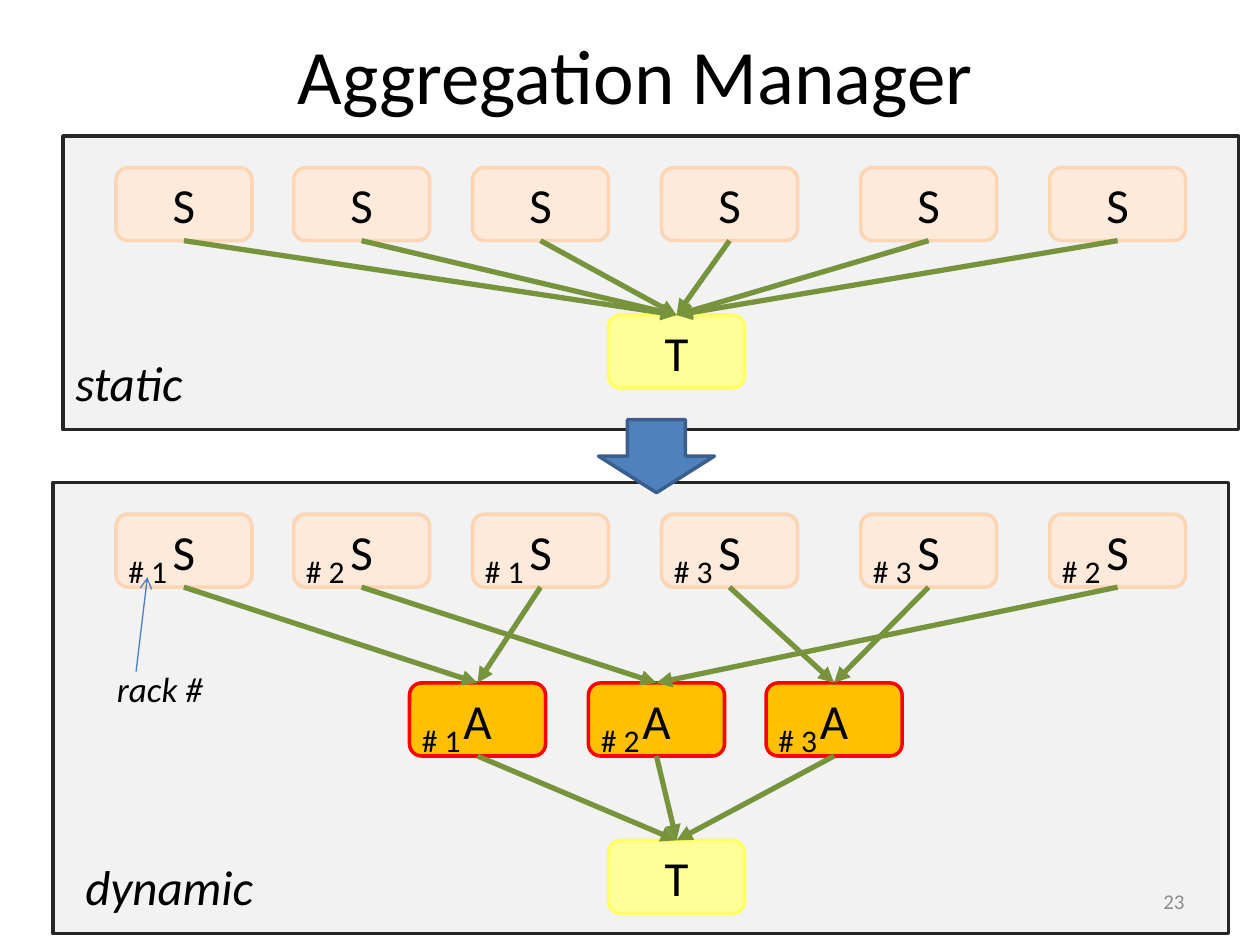
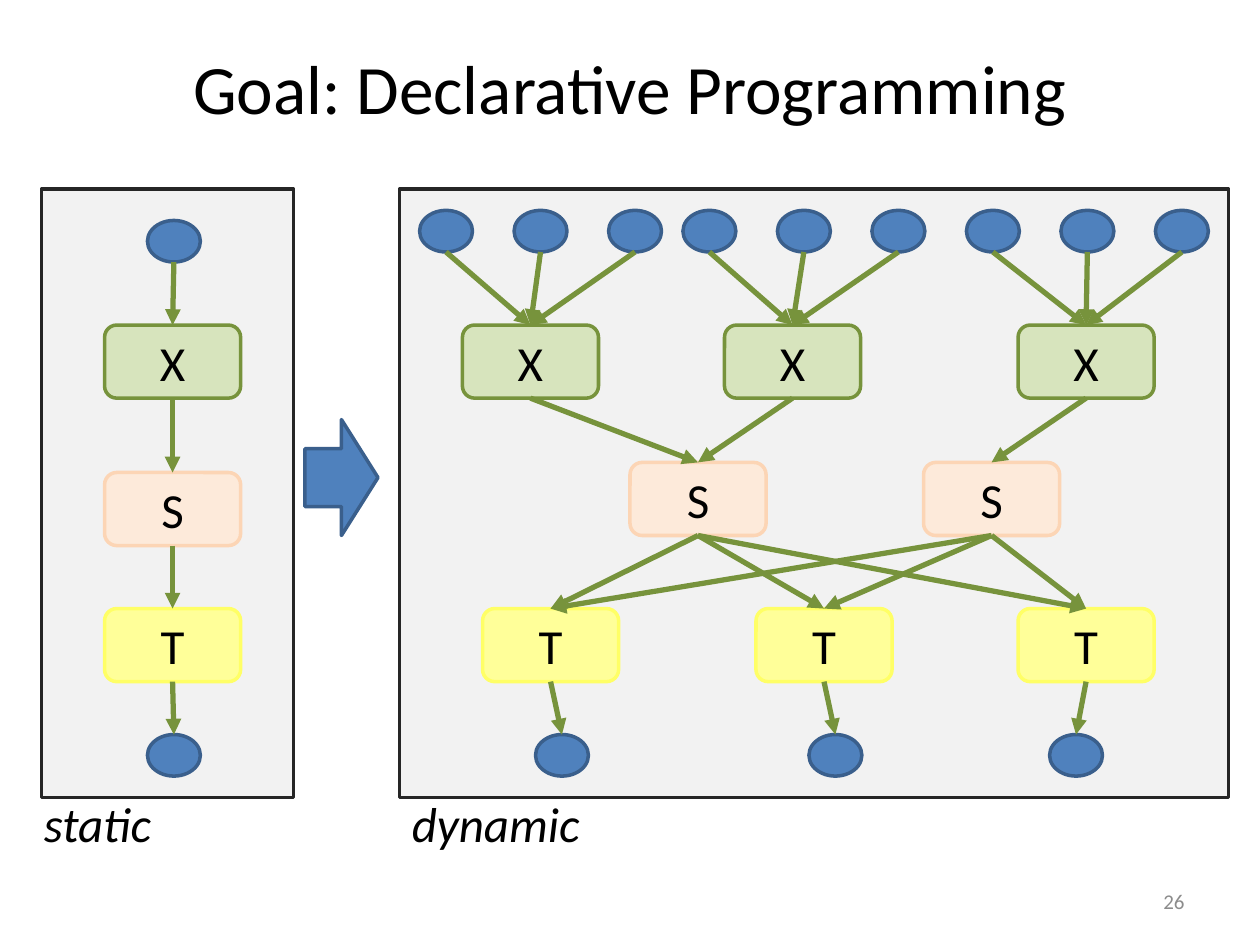
from lxml.etree import SubElement
from pptx import Presentation
from pptx.dml.color import RGBColor
from pptx.enum.shapes import MSO_CONNECTOR, MSO_SHAPE
from pptx.enum.text import MSO_ANCHOR, PP_ALIGN
from pptx.oxml.ns import qn
from pptx.util import Inches, Pt

BLACK = RGBColor(0x00, 0x00, 0x00)
GREY = RGBColor(0x8C, 0x8C, 0x8C)
PANEL_FILL = RGBColor(0xF2, 0xF2, 0xF2)
PANEL_LINE = RGBColor(0x26, 0x26, 0x26)
BLUE = RGBColor(0x4F, 0x81, 0xBD)
DARK_BLUE = RGBColor(0x3A, 0x5F, 0x8C)
POINTER_BLUE = RGBColor(0x4B, 0x7E, 0xBC)
GREEN = RGBColor(0x77, 0x93, 0x3C)

# Fill and outline of each kind of stage
STAGE_COLORS = {
    "S": (RGBColor(0xFD, 0xEA, 0xDA), RGBColor(0xFC, 0xD5, 0xB5)),
    "T": (RGBColor(0xFF, 0xFF, 0x99), RGBColor(0xFF, 0xFF, 0x66)),
    "A": (RGBColor(0xFF, 0xC0, 0x00), RGBColor(0xFF, 0x00, 0x00)),
    "X": (RGBColor(0xD7, 0xE4, 0xBD), GREEN),
}
FONT = "Calibri"
STAGE_W, STAGE_H = 1.08, 0.58
DATA_W, DATA_H = 0.42, 0.33
TOP, BOTTOM = 0, 2


class GraphSlide:
    """Draws data-flow graphs on one slide; lengths are in inches."""

    def __init__(self, prs, title, title_box, title_size, number):
        self.s = prs.slides.add_slide(prs.slide_layouts[6])
        self.title = (title, title_box, title_size)
        self.number = number

    def add_text_run(self, tf, text, size, color=BLACK, align=PP_ALIGN.LEFT, italic=False):
        p = tf.paragraphs[0]
        p.alignment = align
        r = p.add_run()
        r.text = text
        r.font.name = FONT
        r.font.size = Pt(size)
        r.font.italic = italic
        r.font.color.rgb = color

    def text(self, box, text, size, wrap=True, anchor=MSO_ANCHOR.TOP, **style):
        tf = self.s.shapes.add_textbox(*map(Inches, box)).text_frame
        tf.word_wrap = wrap
        tf.vertical_anchor = anchor
        self.add_text_run(tf, text, size, **style)

    def caption(self, left, top, width, text, size=28, height=0.57):
        self.text((left, top, width, height), text, size, wrap=False, italic=True)

    def shape(self, kind, box, fill, line):
        sp = self.s.shapes.add_shape(kind, *map(Inches, box))
        sp.shadow.inherit = False
        sp.fill.solid()
        sp.fill.fore_color.rgb = fill
        sp.line.color.rgb = line
        sp.line.width = Pt(2)
        return sp

    def panel(self, *box):
        self.shape(MSO_SHAPE.RECTANGLE, box, PANEL_FILL, PANEL_LINE)

    def stage(self, letter, left, top):
        sp = self.shape(MSO_SHAPE.ROUNDED_RECTANGLE, (left, top, STAGE_W, STAGE_H),
                        *STAGE_COLORS[letter])
        sp.text_frame.vertical_anchor = MSO_ANCHOR.MIDDLE
        self.add_text_run(sp.text_frame, letter, 28, align=PP_ALIGN.CENTER)
        return sp

    def stages(self, letter, lefts, top):
        return [self.stage(letter, left, top) for left in lefts]

    def data(self, left, top):
        return self.shape(MSO_SHAPE.OVAL, (left, top, DATA_W, DATA_H), BLUE, DARK_BLUE)

    def rack_tags(self, racks, lefts, top):
        for rack, left in zip(racks, lefts):
            self.text((left, top, 0.58, 0.4), f"# {rack}", 18)

    def big_arrow(self, left, top, rotation=0):
        sp = self.shape(MSO_SHAPE.DOWN_ARROW, (left, top, 0.92, 0.58), BLUE, DARK_BLUE)
        sp.rotation = rotation

    def arrow(self, x1, y1, x2, y2, color, width, head):
        """Draw a straight arrow between two points given in EMU."""
        cxn = self.s.shapes.add_connector(MSO_CONNECTOR.STRAIGHT, x1, y1, x2, y2)
        cxn.line.color.rgb = color
        cxn.line.width = Pt(width)
        sp_pr = cxn._element.spPr
        SubElement(sp_pr.find(qn("a:ln")), qn("a:tailEnd"), type=head)
        SubElement(sp_pr, qn("a:effectLst"))
        return cxn

    def link(self, source, target):
        """Join the bottom of source to the top of target."""
        cxn = self.arrow(source.left + source.width // 2, source.top + source.height,
                         target.left + target.width // 2, target.top,
                         GREEN, 3, "triangle")
        # An oval numbers its sites differently, so only its top is glued.
        if source.auto_shape_type != MSO_SHAPE.OVAL:
            cxn.begin_connect(source, BOTTOM)
        cxn.end_connect(target, TOP)

    def link_all(self, sources, targets):
        """Link sources to targets pairwise."""
        for source, target in zip(sources, targets):
            self.link(source, target)

    def finish(self):
        """Add the title and the slide number on top of the graphs."""
        title, box, size = self.title
        self.text(box, title, size, anchor=MSO_ANCHOR.MIDDLE, align=PP_ALIGN.CENTER)
        self.text((7.17, 6.95, 2.33, 0.4), self.number, 12, anchor=MSO_ANCHOR.MIDDLE,
                  color=GREY, align=PP_ALIGN.RIGHT)


def aggregation_slide(prs):
    g = GraphSlide(prs, "Aggregation Manager", (0.42, 0.17, 9.25, 0.83), 44, "23")
    source_lefts = [0.92, 2.33, 3.75, 5.25, 6.83, 8.33]
    source_racks = [1, 2, 1, 3, 3, 2]
    aggregator_lefts = [3.25, 4.67, 6.08]

    g.panel(0.42, 3.83, 9.33, 3.58)
    g.panel(0.5, 1.08, 9.33, 2.33)

    sources = g.stages("S", source_lefts, 1.33)
    target = g.stage("T", 4.83, 2.5)
    g.link_all(sources, [target] * len(sources))

    sources = g.stages("S", source_lefts, 4.08)
    aggregators = g.stages("A", aggregator_lefts, 5.42)
    target = g.stage("T", 4.83, 6.67)
    g.link_all(sources, [aggregators[rack - 1] for rack in source_racks])
    g.link_all(aggregators, [target] * len(aggregators))

    g.big_arrow(4.75, 3.33)
    g.rack_tags(source_racks, source_lefts, 4.33)
    g.rack_tags([1, 2, 3], aggregator_lefts, 5.67)
    g.caption(0.5, 2.75, 1.06, "static")
    g.caption(0.58, 6.75, 1.54, "dynamic")
    g.caption(0.83, 5.25, 0.89, "rack #", size=20, height=0.44)
    g.arrow(Inches(1.08), Inches(5.33), Inches(1.17), Inches(4.58),
            POINTER_BLUE, 0.75, "arrow")
    g.finish()


def declarative_slide(prs):
    g = GraphSlide(prs, "Goal: Declarative Programming", (0.5, 0.3, 9, 0.78), 39.6, "26")
    g.panel(3.17, 1.5, 6.58, 4.83)
    g.panel(0.33, 1.5, 2, 4.83)

    chain = [g.data(1.17, 1.75)]
    chain += [g.stage(letter, 0.83, top)
              for letter, top in (("X", 2.58), ("S", 3.75), ("T", 4.83))]
    chain.append(g.data(1.17, 5.83))
    g.link_all(chain, chain[1:])

    g.big_arrow(2.25, 3.5, rotation=270)

    extractors = g.stages("X", [3.67, 5.75, 8.08], 2.58)
    sorters = g.stages("S", [5, 7.33], 3.67)
    targets = g.stages("T", [3.83, 6, 8.08], 4.83)
    outputs = [g.data(left, 5.83) for left in (4.25, 6.42, 8.33)]
    for group_left, extractor in zip([3.33, 5.42, 7.67], extractors):
        inputs = [g.data(group_left + 0.75 * i, 1.67) for i in range(3)]
        g.link_all(inputs, [extractor] * 3)
    g.link_all(extractors, [sorters[0], sorters[0], sorters[1]])
    for sorter in sorters:
        g.link_all([sorter] * 3, targets)
    g.link_all(targets, outputs)

    g.caption(0.25, 6.25, 1.06, "static")
    g.caption(3.17, 6.25, 1.54, "dynamic")
    g.finish()


def main():
    prs = Presentation()
    prs.slide_width, prs.slide_height = Inches(10), Inches(7.5)
    aggregation_slide(prs)
    declarative_slide(prs)
    prs.save("out.pptx")


if __name__ == "__main__":
    main()
